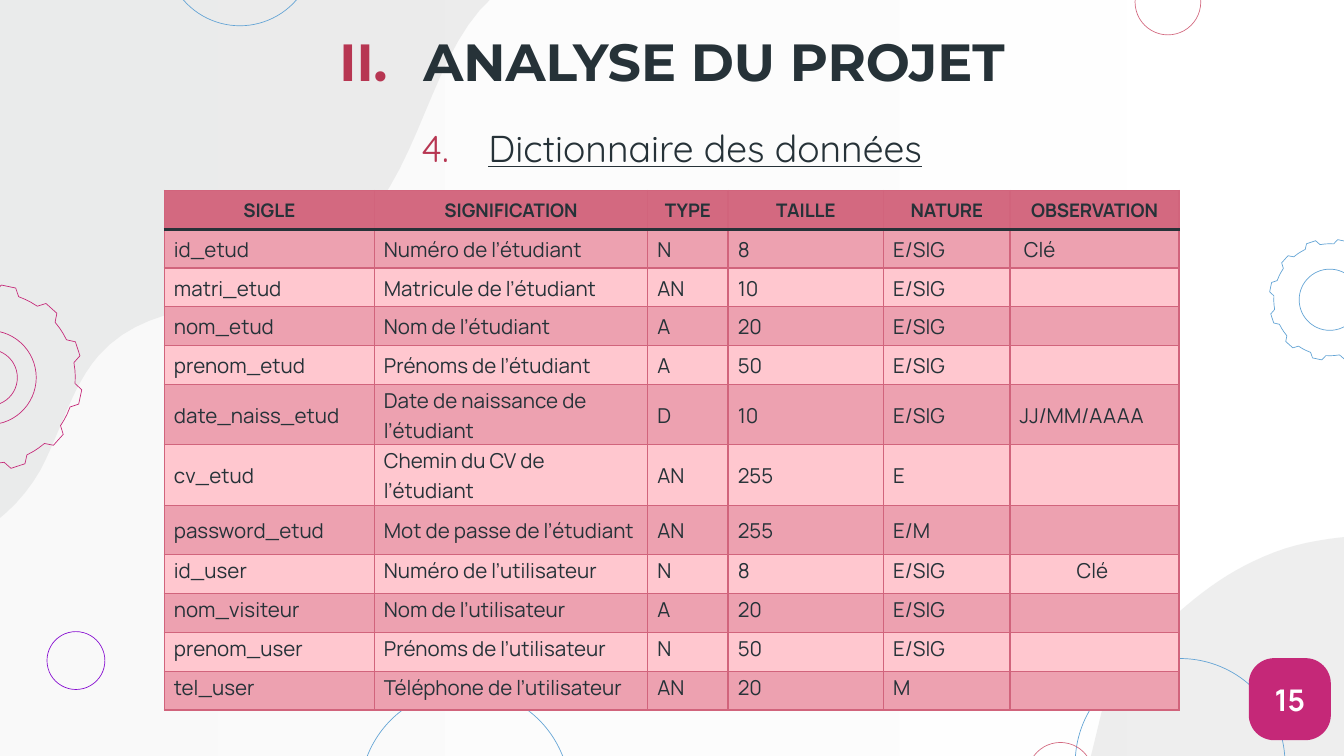
from math import cos, sin, radians
from lxml.etree import SubElement
from pptx import Presentation
from pptx.dml.color import RGBColor
from pptx.enum.shapes import MSO_SHAPE as SHAPE
from pptx.enum.text import MSO_ANCHOR as ANCHOR, PP_ALIGN as ALIGN
from pptx.oxml.ns import qn
from pptx.util import Pt

INK, ACCENT, BLUE, ROSE, MAGENTA = "263238", "B73652", "63A4D5", "D36980", "C52878"
BORDER, DARK_ROW, LIGHT_ROW = "D1647C", "EDA1B0", "FFC7CF"

HEADER = ["SIGLE", "SIGNIFICATION", "TYPE", "TAILLE", "NATURE", "OBSERVATION"]
FIELDS = [
    ("id_etud", "Numéro de l’étudiant", "N", "8", "E/SIG", " Clé"),
    ("matri_etud", "Matricule de l’étudiant", "AN", "10", "E/SIG", ""),
    ("nom_etud", "Nom de l’étudiant", "A", "20", "E/SIG", ""),
    ("prenom_etud", "Prénoms de l’étudiant", "A", "50", "E/SIG", ""),
    ("date_naiss_etud", "Date de naissance de l’étudiant", "D", "10", "E/SIG", "JJ/MM/AAAA"),
    ("cv_etud", "Chemin du CV de l’étudiant", "AN", "255", "E", ""),
    ("password_etud", "Mot de passe de l’étudiant", "AN", "255", "E/M", ""),
    ("id_user", "Numéro de l’utilisateur", "N", "8", "E/SIG", "Clé "),
    ("nom_visiteur", "Nom de l’utilisateur", "A", "20", "E/SIG", ""),
    ("prenom_user", "Prénoms de l’utilisateur", "N", "50", "E/SIG", ""),
    ("tel_user", "Téléphone de l’utilisateur", "AN", "20", "M", ""),
]
COLUMN_WIDTHS = [112.5, 146.5, 43.1, 83.3, 67.8, 90.5]
ROW_HEIGHT, TALL_ROWS = 20.8, {5: 29.5, 6: 29.5, 7: 26.6}
FIRST_USER_ROW = 8

# Each blob: start, Bezier segments (two handles and an end), closing corners
BLOBS = [
    ((437.8, -140.4), [
        (431.3, -123.8, 423.4, -108, 414, -94.3),
        (400.3, -74.2, 387.4, -59.8, 367.9, -46.1),
        (348.5, -32.4, 322.6, -25.9, 301, -19.4),
        (290.9, -16.6, 280.8, -13.7, 271.4, -7.2),
        (239, 13.7, 230.4, 64.1, 208.8, 100.1),
        (193.7, 126.7, 170.6, 146.2, 144.7, 155.5),
        (113, 166.3, 76.3, 163.4, 52.6, 190.8),
        (38.2, 207.4, 32.4, 231.8, 21.6, 252),
        (7.2, 277.2, -18.7, 294.5, -45.4, 296.6),
    ], [(-45.4, -208.1), (437.8, -208.1)]),
    ((592.6, 371.5), [
        (602.6, 357.1, 614.2, 343.4, 627.1, 331.9),
        (644.4, 316.1, 660.2, 304.6, 682.6, 295.9),
        (704.9, 287.3, 731.5, 286.6, 753.8, 285.8),
        (764.6, 285.1, 774.7, 284.4, 785.5, 280.8),
        (822.2, 267.8, 842.4, 221, 871.2, 190.8),
        (892.8, 168.5, 918.7, 154.8, 946.1, 151.9),
        (979.9, 148.3, 1015.2, 159.8, 1044.7, 139),
        (1062, 126, 1073.5, 103.7, 1088.6, 87.1),
        (1108.8, 65.5, 1138.3, 55.4, 1164.2, 58.3),
    ], [(1046.2, 549.4), (576.7, 437)]),
]
# centre x, centre y, radius, colour
CIRCLES = [
    (632.2, 409, 56.2, BLUE), (40.7, 353.9, 15.5, "860CD1"), (625.7, 1.1, 17.6, ROSE),
    (128.5, -26.3, 40.1, BLUE), (249.1, 425.5, 56.2, BLUE), (568.1, 415.4, 17.6, ROSE),
    (-5.8, 202.3, 15.1, MAGENTA),
]
# centre x, centre y, root radius, tip radius, hole radius, colour
GEARS = [(712.4, 160.6, 30, 32.5, 16.4, BLUE), (-5.8, 202.3, 46.1, 50, 25.2, MAGENTA)]
TEETH = 12


def rgb(color):
    return RGBColor.from_string(color)


def finish(shape, fill=None, line=None, alpha=None):
    """Set fill and outline; a pair of colours makes a gradient."""
    shape.shadow.inherit = False
    if isinstance(fill, tuple):
        shape.fill.gradient()
        shape.fill.gradient_angle = 180
        for stop, color in zip(shape.fill.gradient_stops, fill):
            stop.color.rgb = rgb(color)
    elif fill:
        shape.fill.solid()
        shape.fill.fore_color.rgb = rgb(fill)
    else:
        shape.fill.background()
    if alpha:
        for color in shape._element.spPr.iter(qn("a:srgbClr")):
            SubElement(color, qn("a:alpha"), val=str(alpha * 1000))
    if line:
        shape.line.color.rgb = rgb(line)
        shape.line.width = Pt(0.36)
    else:
        shape.line.fill.background()


def write(frame, text, size, font="Manrope", color=INK, bold=False, underline=False,
          align=ALIGN.LEFT, number=None, indent=0, spacing=None, after=None):
    """Fill a frame with one paragraph; number is (scheme, first value)."""
    frame.word_wrap = True
    paragraph = frame.paragraphs[0]
    paragraph.alignment = align
    if spacing:
        paragraph.line_spacing, paragraph.space_after = spacing, Pt(after)
    if number:
        props = paragraph._p.get_or_add_pPr()
        props.set("marL", str(Pt(indent)))
        props.set("indent", str(-Pt(indent)))
        SubElement(SubElement(props, qn("a:buClr")), qn("a:srgbClr"), val=ACCENT)
        SubElement(props, qn("a:buFont"), typeface=font)
        SubElement(props, qn("a:buAutoNum"), type=number[0], startAt=str(number[1]))
    if not text:
        SubElement(paragraph._p, qn("a:endParaRPr"), sz=str(size * 100))
        return
    run = paragraph.add_run()
    run.text = text
    run.font.size, run.font.name = Pt(size), font
    run.font.bold, run.font.underline = bold, underline
    run.font.color.rgb = rgb(color)


def add_outline(contours, **look):
    (first, *rest) = [[(Pt(x), Pt(y)) for x, y in points] for points in contours]
    builder = shapes.build_freeform(*first[0], scale=1.0)
    builder.add_line_segments(first[1:], close=True)
    for points in rest:
        builder.move_to(*points[0])
        builder.add_line_segments(points[1:], close=True)
    finish(builder.convert_to_shape(), **look)


def blob_points(start, curves, corners, steps=12):
    points = [start]
    for ax, ay, bx, by, ex, ey in curves:
        sx, sy = points[-1]
        for t in (step / steps for step in range(1, steps + 1)):
            weights = (1 - t) ** 3, 3 * t * (1 - t) ** 2, 3 * t * t * (1 - t), t ** 3
            points.append(tuple(sum(w * v for w, v in zip(weights, axis))
                                for axis in ((sx, ax, bx, ex), (sy, ay, by, ey))))
    return points + corners


def polar(x, y, radius, degrees):
    return x + radius * cos(radians(degrees)), y + radius * sin(radians(degrees))


def gear_contours(x, y, root, tip, hole):
    pitch = 360 / TEETH
    profile = [(4, root), (7.5, tip), (16.5, tip), (20, root), (25, root), (29, root)]
    rim = [polar(x, y, radius, tooth * pitch + angle)
           for tooth in range(TEETH) for angle, radius in profile]
    return [rim, [polar(x, y, hole, angle) for angle in range(360, 0, -6)]]


def set_border(cell, side, color, width):
    line = SubElement(cell._tc.get_or_add_tcPr(), qn("a:" + side), w=str(Pt(width)))
    SubElement(SubElement(line, qn("a:solidFill")), qn("a:srgbClr"), val=color)


def add_dictionary():
    rows = [HEADER] + FIELDS
    heights = [TALL_ROWS.get(r, ROW_HEIGHT) for r in range(len(rows))]
    table = shapes.add_table(len(rows), len(HEADER), Pt(88), Pt(102),
                             Pt(sum(COLUMN_WIDTHS)), Pt(sum(heights))).table
    for column, width in zip(table.columns, COLUMN_WIDTHS):
        column.width = Pt(width)
    for r, (row, values) in enumerate(zip(table.rows, rows)):
        row.height = Pt(heights[r])
        for cell, text in zip(row.cells, values):
            head = r == 0
            cell.margin_left = cell.margin_right = Pt(5.2)
            cell.margin_top = cell.margin_bottom = 0
            cell.vertical_anchor = ANCHOR.TOP if r >= FIRST_USER_ROW else ANCHOR.MIDDLE
            centred = head or (r == FIRST_USER_ROW and text == values[-1])
            write(cell.text_frame, text, 10 if head else 11, bold=head, spacing=1.07,
                  after=8, align=ALIGN.CENTER if centred else ALIGN.LEFT)
            for side in ("lnL", "lnR", "lnT", "lnB"):
                rule = (r, side) in ((0, "lnB"), (1, "lnT"))
                set_border(cell, side, *((INK, 2) if rule else (BORDER, 0.75)))
            cell.fill.solid()
            cell.fill.fore_color.rgb = rgb(ROSE if head else DARK_ROW if r % 2 else LIGHT_ROW)


def add_heading(box, text, size, anchor, **style):
    frame = shapes.add_textbox(*map(Pt, box)).text_frame
    frame.margin_left = frame.margin_right = frame.margin_top = frame.margin_bottom = Pt(7.2)
    frame.vertical_anchor = anchor
    write(frame, text, size, align=ALIGN.CENTER, **style)


deck = Presentation()
deck.slide_width, deck.slide_height = Pt(720), Pt(405)
shapes = deck.slides.add_slide(deck.slide_layouts[6]).shapes

backdrop = shapes.add_shape(SHAPE.RECTANGLE, Pt(-5), Pt(-5), Pt(730), Pt(415.4))
finish(backdrop, fill=("FFFFFF", "F3F3F3"), alpha=41)
for blob in BLOBS:
    add_outline([blob_points(*blob)], fill="D6D7D7", alpha=41)
for x, y, radius, color in CIRCLES:
    circle = shapes.add_shape(SHAPE.OVAL, Pt(x - radius), Pt(y - radius),
                              Pt(2 * radius), Pt(2 * radius))
    finish(circle, line=color)
for *gear, color in GEARS:
    add_outline(gear_contours(*gear), line=color)

add_dictionary()

page_badge = shapes.add_shape(SHAPE.ROUNDED_RECTANGLE, Pt(669), Pt(352.6), Pt(44), Pt(44))
page_badge.adjustments[0] = 0.31
finish(page_badge, fill=MAGENTA)
page_badge.text_frame.vertical_anchor = ANCHOR.MIDDLE
write(page_badge.text_frame, "15", 16, color="FFFFFF", bold=True, align=ALIGN.CENTER)

add_heading((56.2, 18, 607.6, 29), "ANALYSE DU PROJET", 28, ANCHOR.MIDDLE,
            font="Montserrat", bold=True, number=("romanUcPeriod", 2), indent=45)
add_heading((152.8, 60, 414.2, 42.4), "Dictionnaire des données", 20, ANCHOR.TOP,
            font="Quicksand", underline=True, number=("arabicPeriod", 4), indent=36)

deck.save("out.pptx")
